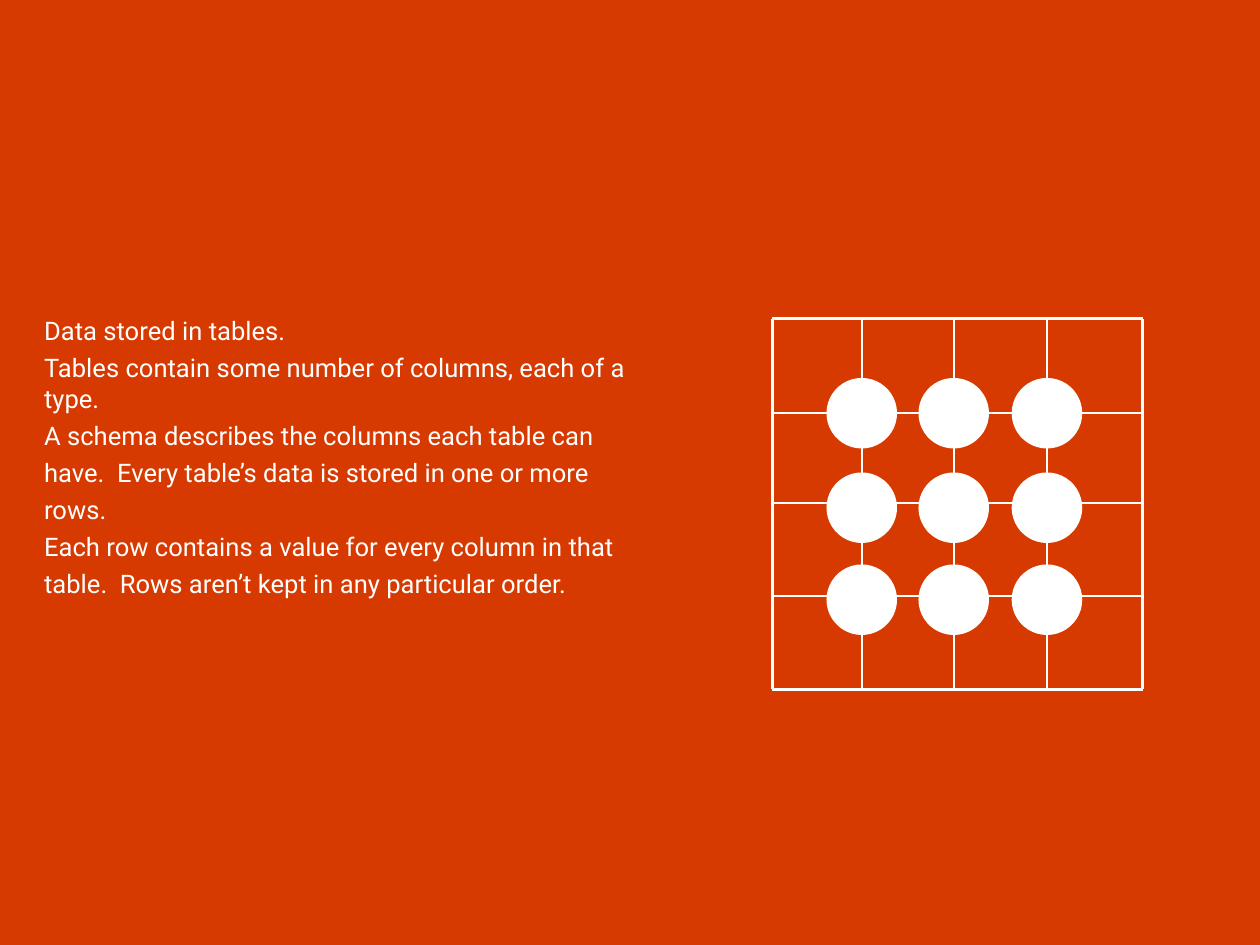
from math import cos, pi, sin

from pptx import Presentation
from pptx.dml.color import RGBColor
from pptx.util import Inches, Pt

COLORS = {"background": "D73A00", "foreground": "FFFFFF"}
FONT = {"name": "Roboto", "size": Pt(14.6)}

# text, right indent in inches, paragraph format
PARAGRAPHS = [
    ("Data stored in tables.", 0, {}),
    ("Tables contain some number of columns, each of a type.", 0,
     {"space_before": Pt(3.6)}),
    ("A schema describes the columns each table can have.  "
     "Every table’s data is stored in one or more rows.", 0.4,
     {"line_spacing": 1.21}),
    ("Each row contains a value for every column in that table.  "
     "Rows aren’t kept in any particular order.", 0.2,
     {"line_spacing": 1.21, "space_before": Pt(0.1)}),
]

WIDTH, HEIGHT = 10, 7.5
LEFT, TOP, SIDE = 6.13, 2.53, 2.94
RIGHT, BOTTOM = LEFT + SIDE, TOP + SIDE
COLUMN_LINES = [6.84, 7.57, 8.31]
ROW_LINES = [3.28, 3.99, 4.73]
DOT_ROWS = [3.28, 4.03, 4.76]
DOT_RADIUS, DOT_CORNERS = 0.28, 44
FRAME_WIDTH, GRID_WIDTH = 1.56, 0.96


def color(name):
    return RGBColor.from_string(COLORS[name])


def add_outline(slide, contours, closed):
    """Build one freeform from several lists of points in inches."""
    contours = [[(Inches(x), Inches(y)) for x, y in c] for c in contours]
    builder = slide.shapes.build_freeform(*contours[0][0], scale=1.0)
    for i, (start, *rest) in enumerate(contours):
        if i:
            builder.move_to(*start)
        builder.add_line_segments(rest, close=closed)
    sp = builder.convert_to_shape()
    sp.shadow.inherit = False
    return sp


def add_area(slide, contours, fill):
    sp = add_outline(slide, contours, True)
    sp.fill.solid()
    sp.fill.fore_color.rgb = color(fill)
    sp.line.fill.background()


def add_lines(slide, contours, width):
    sp = add_outline(slide, contours, False)
    sp.fill.background()
    sp.line.color.rgb = color("foreground")
    sp.line.width = Pt(width)


def circle(cx, cy):
    angles = [2 * pi * i / DOT_CORNERS for i in range(DOT_CORNERS)]
    return [(cx + DOT_RADIUS * cos(a), cy + DOT_RADIUS * sin(a)) for a in angles]


def add_text(slide):
    box = slide.shapes.add_textbox(Inches(0.34), Inches(2.44), Inches(5.09), Inches(1.8))
    tf = box.text_frame
    tf.word_wrap = True
    tf.margin_left = tf.margin_right = tf.margin_bottom = 0
    tf.margin_top = Inches(0.06)
    for i, (text, right_indent, layout) in enumerate(PARAGRAPHS):
        p = tf.add_paragraph() if i else tf.paragraphs[0]
        pPr = p._p.get_or_add_pPr()
        pPr.set("marL", str(Inches(0.01)))
        pPr.set("marR", str(Inches(right_indent)))
        for name, value in layout.items():
            setattr(p, name, value)
        r = p.add_run()
        r.text = text
        for name, value in FONT.items():
            setattr(r.font, name, value)
        r.font.color.rgb = color("foreground")


def add_grid(slide):
    top, bottom = [[(LEFT, y), (RIGHT, y)] for y in (TOP, BOTTOM)]
    left, right = [[(x, BOTTOM), (x, TOP)] for x in (LEFT, RIGHT)]
    rows = [[(LEFT, y), (RIGHT, y)] for y in ROW_LINES]
    columns = [[(x, TOP), (x, BOTTOM)] for x in COLUMN_LINES]
    dots = [circle(x, y) for x in COLUMN_LINES for y in DOT_ROWS]
    add_lines(slide, [top, left], FRAME_WIDTH)
    add_lines(slide, rows, GRID_WIDTH)
    add_lines(slide, columns, GRID_WIDTH)
    add_area(slide, dots, "foreground")
    add_lines(slide, [bottom, right], FRAME_WIDTH)


def main():
    prs = Presentation()
    prs.slide_width, prs.slide_height = Inches(WIDTH), Inches(HEIGHT)
    slide = prs.slides.add_slide(prs.slide_layouts[6])
    corners = [(WIDTH, 0), (0, 0), (0, HEIGHT), (WIDTH, HEIGHT)]
    add_area(slide, [corners], "background")
    add_text(slide)
    add_grid(slide)
    prs.save("out.pptx")


if __name__ == "__main__":
    main()
